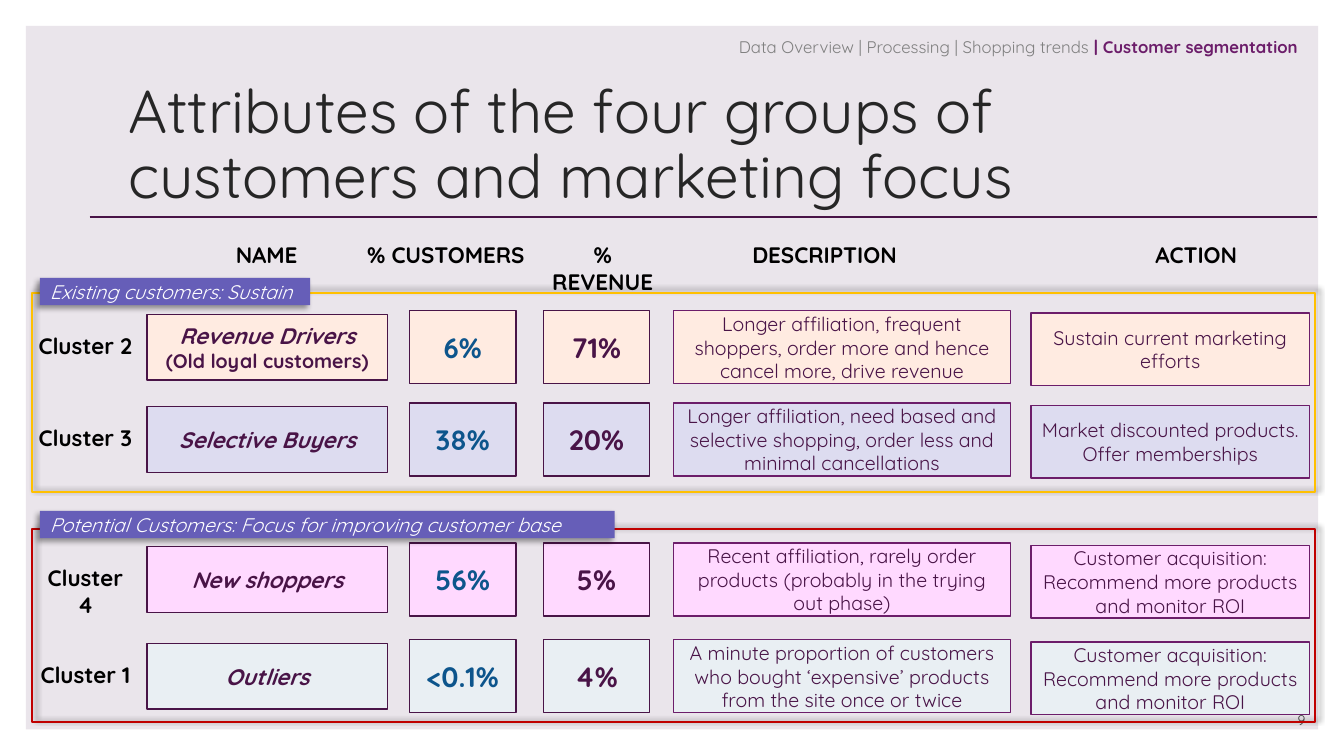
"""Build the customer segmentation slide: four clusters, two groups."""
from lxml import etree
from pptx import Presentation
from pptx.dml.color import RGBColor as RGB
from pptx.enum.shapes import MSO_CONNECTOR as LINE, MSO_SHAPE as KIND
from pptx.enum.text import MSO_ANCHOR as ANCHOR, MSO_AUTO_SIZE as FIT, PP_ALIGN as ALIGN
from pptx.oxml import parse_xml
from pptx.oxml.ns import nsdecls, qn
from pptx.util import Pt

FONT = "Quicksand"
BLACK = RGB(0x00, 0x00, 0x00)
WHITE = RGB(0xFF, 0xFF, 0xFF)
INK = RGB(0x26, 0x26, 0x26)
DARK = RGB(0x40, 0x40, 0x40)
GREY = RGB(0x80, 0x80, 0x80)
MIST = RGB(0xEA, 0xE5, 0xEB)
PLUM = RGB(0x49, 0x14, 0x47)
GRAPE = RGB(0x6C, 0x1D, 0x6A)
BLUE = RGB(0x0D, 0x55, 0x8C)
VIOLET = RGB(0x66, 0x5E, 0xB8)
RED = RGB(0xC0, 0x00, 0x00)
GOLD = RGB(0xFF, 0xC0, 0x00)
PEACH = RGB(0xFF, 0xEB, 0xE1)
LILAC = RGB(0xDD, 0xDC, 0xF0)
PINK = RGB(0xFF, 0xD9, 0xFF)
ICE = RGB(0xE9, 0xEF, 0xF3)


def write(shape, text, size=16, color=BLACK, bold=False, italic=False,
          align=ALIGN.CENTER, anchor=ANCHOR.TOP, fresh=False):
    frame = shape.text_frame
    frame.word_wrap = True
    frame.vertical_anchor = anchor
    para = frame.add_paragraph() if fresh else frame.paragraphs[-1]
    para.alignment = align
    run = para.add_run()
    run.text = text
    font = run.font
    font.name, font.size, font.bold, font.italic = FONT, Pt(size), bold, italic
    font.color.rgb = color
    return para


def block(x, y, w, h, fill=None, line=None, width=1, kind=KIND.RECTANGLE):
    shape = slide.shapes.add_shape(kind, Pt(x), Pt(y), Pt(w), Pt(h))
    shape.shadow.inherit = False
    if fill is None:
        shape.fill.background()
    else:
        shape.fill.solid()
        shape.fill.fore_color.rgb = fill
    if line is None:
        shape.line.fill.background()
    else:
        shape.line.color.rgb = line
        shape.line.width = Pt(width)
    return shape


deck = Presentation()
deck.slide_width, deck.slide_height = Pt(960), Pt(540)
slide = deck.slides.add_slide(deck.slide_layouts[5])

title = slide.shapes.title
title.left, title.top, title.width, title.height = Pt(84.5), Pt(50.5), Pt(792), Pt(108)
title.text_frame.auto_size = FIT.NONE
head = write(title, "Attributes of the four groups of customers and marketing focus",
             size=43.2, color=INK, align=ALIGN.LEFT, anchor=ANCHOR.MIDDLE)
head.line_spacing = 0.9
panel = block(18.5, 18.5, 923, 502.5, MIST)
title.element.addprevious(panel.element)

rule = slide.shapes.add_connector(LINE.STRAIGHT, Pt(64), Pt(155), Pt(940.5), Pt(155))
rule.line.color.rgb = PLUM
rule.line.width = Pt(1.5)
etree.SubElement(rule.element.spPr, qn("a:effectLst"))

page = slide.shapes.add_textbox(Pt(824.5), Pt(502), Pt(115), Pt(21.5))
write(page, "9", size=10, color=DARK, align=ALIGN.RIGHT, anchor=ANCHOR.BOTTOM)

heads = [("NAME", 190.5, 149), ("% CUSTOMERS", 318.5, 149), ("% REVENUE", 430.5, 90),
         ("DESCRIPTION", 589, 149), ("ACTION", 854.5, 149)]
for text, mid, w in heads:
    label = slide.shapes.add_textbox(Pt(mid - w / 2), Pt(168.5), Pt(w), Pt(35))
    write(label, text, bold=True)

rows = [
    (222, PEACH, "Cluster 2", "Revenue Drivers", "(Old loyal customers)", "6%", "71%",
     "Longer affiliation, frequent shoppers, order more and hence cancel more, drive revenue",
     "Sustain current marketing efforts"),
    (288, LILAC, "Cluster 3", "Selective Buyers", "", "38%", "20%",
     "Longer affiliation, need based and selective shopping, order less and minimal cancellations",
     "Market discounted products. Offer memberships"),
    (388, PINK, "Cluster 4", "New shoppers", "", "56%", "5%",
     "Recent affiliation, rarely order products (probably in the trying out phase)",
     "Customer acquisition: Recommend more products and monitor ROI"),
    (457, ICE, "Cluster 1", "Outliers", "", "<0.1%", "4%",
     "A minute proportion of customers who bought ‘expensive’ products from the site once or twice",
     "Customer acquisition: Recommend more products and monitor ROI"),
]
for top, fill, group, name, note, share, sales, about, action in rows:
    label = slide.shapes.add_textbox(Pt(20), Pt(top + 11.5), Pt(82.08), Pt(35))
    write(label, group, bold=True)
    card = block(105, top + 2.5, 172, 47, fill, PLUM)
    write(card, name, color=PLUM, bold=True, italic=True, anchor=ANCHOR.MIDDLE)
    if note:
        write(card, note, size=14, color=PLUM, bold=True, anchor=ANCHOR.MIDDLE, fresh=True)
    for x, text, color in [(292.5, share, BLUE), (388, sales, PLUM)]:
        write(block(x, top, 76, 52, fill, PLUM), text, size=20, color=color,
              bold=True, anchor=ANCHOR.MIDDLE)
    for x, y, w, text in [(481, top, 241, about), (736.5, top + 1.5, 199, action)]:
        write(block(x, y, w, 52, fill, GRAPE), text, size=14, color=PLUM,
              anchor=ANCHOR.MIDDLE)

groups = [
    (378, 137.5, RED, 365, 410.5, "Potential Customers: Focus for improving customer base"),
    (209.5, 142, GOLD, 198.5, 193, "Existing customers: Sustain"),
]
for top, high, line, tab, wide, text in groups:
    frame = block(23, top, 916.5, high, line=line, width=1.5)
    tag = block(28.5, tab, wide, 19.5, VIOLET)
    write(tag, text, size=14, color=WHITE, italic=True, align=ALIGN.LEFT,
          anchor=ANCHOR.MIDDLE)
    for shape, angle in [(frame, 315), (tag, 135)]:
        glow = parse_xml(
            f'<a:outerShdw {nsdecls("a")} blurRad="{Pt(4)}" dist="{Pt(3)}" '
            f'dir="{angle * 60000}" rotWithShape="0"><a:srgbClr val="000000">'
            '<a:alpha val="40000"/></a:srgbClr></a:outerShdw>')
        shape.element.spPr.find(qn("a:effectLst")).append(glow)

trail = block(487.5, 22.5, 452, 21.5, kind=KIND.PENTAGON)
write(trail, "Data Overview | Processing | Shopping trends ", size=12, color=GREY,
      align=ALIGN.RIGHT, anchor=ANCHOR.MIDDLE)
write(trail, "| Customer segmentation", size=12, color=GRAPE, bold=True,
      align=ALIGN.RIGHT, anchor=ANCHOR.MIDDLE)

deck.save("out.pptx")
